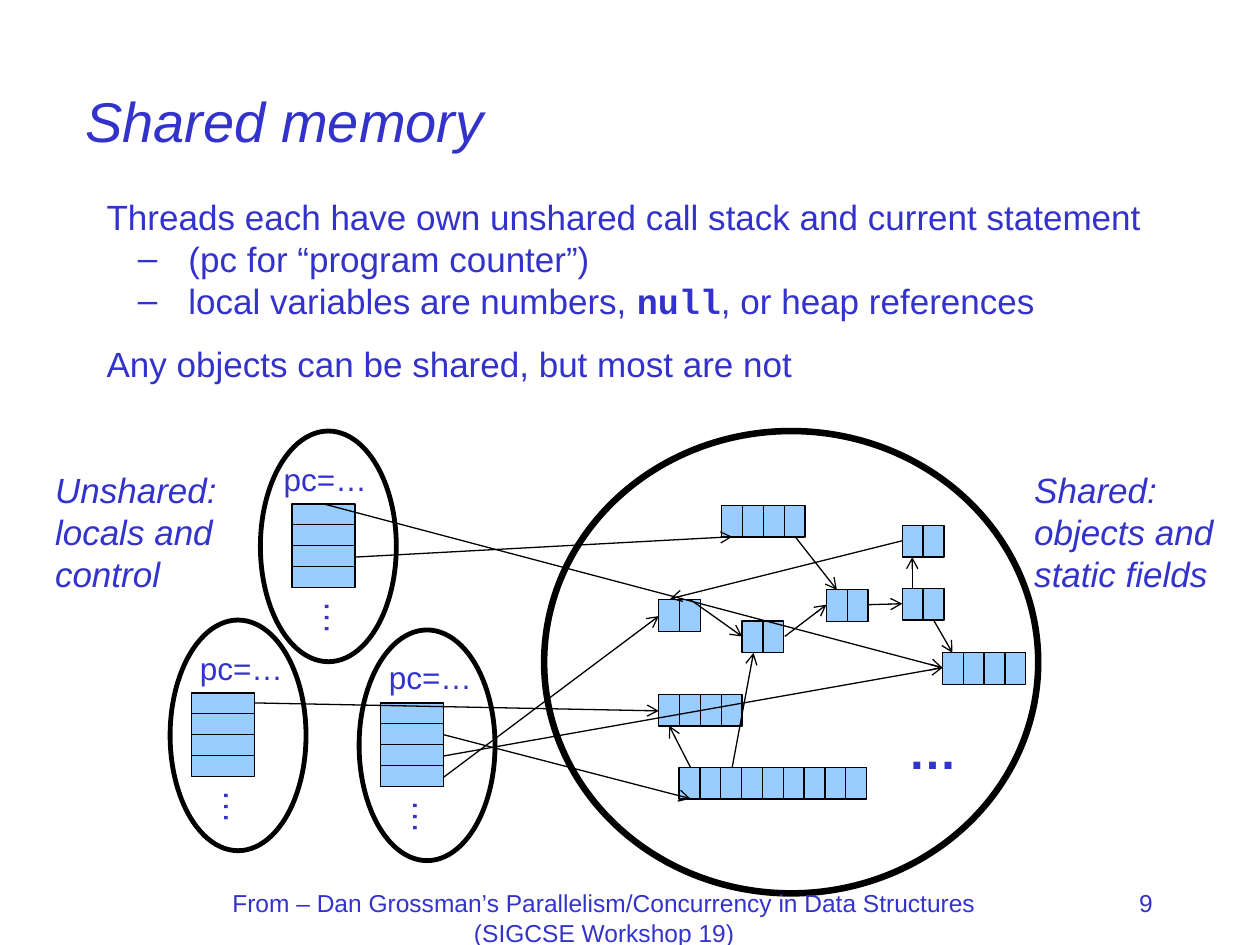
from lxml import etree
from pptx import Presentation
from pptx.dml.color import RGBColor
from pptx.enum import shapes, text
from pptx.oxml import ns
from pptx.util import Cm, Pt

BLUE = RGBColor(0x33, 0x33, 0xCC)
CELL = RGBColor(0x99, 0xCC, 0xFF)
BLACK = RGBColor(0, 0, 0)
STEP = 0.42

HEAP_OBJECTS = [
    (13.28, 12.09, 2), (13.28, 14.0, 4), (14.96, 12.52, 2),
    (16.66, 11.89, 2), (14.55, 10.19, 4), (19.0, 13.16, 4),
    (13.69, 15.47, 9), (18.19, 11.86, 2), (18.19, 10.59, 2),
]
THREADS = [
    (5.89, 10.16, 0.64, 0.42),
    (3.86, 13.97, 0.43, 0.08),
    (7.67, 14.17, 0.43, 0.08),
]
REFERENCES = [
    (16.03, 10.82, 16.87, 11.89), (13.92, 12.09, 14.96, 12.83),
    (15.82, 12.83, 16.66, 12.19), (13.92, 15.47, 13.49, 14.63),
    (14.76, 15.47, 15.19, 13.16), (6.53, 10.16, 19.0, 13.46),
    (7.16, 11.23, 14.76, 10.82), (5.13, 14.17, 13.28, 14.33),
    (8.94, 14.81, 13.92, 16.1), (8.94, 15.67, 13.28, 12.42),
    (8.94, 15.24, 19.0, 13.46), (17.5, 12.19, 18.19, 12.17),
    (18.39, 11.86, 18.39, 11.23), (18.19, 10.9, 13.51, 12.07),
    (18.82, 12.5, 19.2, 13.16),
]


def add_text(s, box, lines, size, bold=False, italic=False,
             align=text.PP_ALIGN.LEFT, anchor=text.MSO_ANCHOR.TOP):
    sp = s.shapes.add_textbox(*map(Cm, box))
    tf = sp.text_frame
    tf.word_wrap = True
    tf.vertical_anchor = anchor
    tf.text = "\n".join(lines)
    for p in tf.paragraphs:
        p.alignment = align
        p.line_spacing = Pt(size * 1.2)
        for r in p.runs:
            format_run(r, size, bold, italic)
    return sp


def format_run(r, size, bold=False, italic=False, name="Arial"):
    r.font.name = name
    r.font.size = Pt(size)
    r.font.bold = bold
    r.font.italic = italic
    r.font.color.rgb = BLUE


def add_dash(p):
    pPr = p._p.get_or_add_pPr()
    pPr.set("marL", str(Cm(1.65)))
    pPr.set("indent", str(Cm(-1.02)))
    etree.SubElement(pPr, ns.qn("a:buFont"), typeface="Arial")
    etree.SubElement(pPr, ns.qn("a:buChar"), char="–")


def add_outline(s, kind, box, width, fill=None):
    sp = s.shapes.add_shape(kind, *map(Cm, box))
    sp.shadow.inherit = False
    sp.line.color.rgb = BLACK
    sp.line.width = Pt(width)
    if fill is None:
        sp.fill.background()
    else:
        sp.fill.solid()
        sp.fill.fore_color.rgb = fill


def add_ellipse(s, box, width):
    add_outline(s, shapes.MSO_SHAPE.OVAL, box, width)


def add_cell(s, box):
    add_outline(s, shapes.MSO_SHAPE.RECTANGLE, box, 0.75, CELL)


def add_heap_object(s, left, top, count):
    for i in range(count):
        add_cell(s, (left + i * STEP, top, STEP, 0.64))


def add_thread(s, left, top, ellipse_dx, label_dx):
    add_ellipse(s, (left - ellipse_dx, top - 1.47, 2.74, 4.65), 2.75)
    for i in range(4):
        add_cell(s, (left, top + i * STEP, 1.27, STEP))
    add_text(s, (left - label_dx, top - 1.02, 2.3, 1.02), ["pc=…"], 18)
    dots = add_text(s, (left + 0.32, top + 1.75, 1.22, 1.12), ["…"], 20)
    dots.rotation = 90


def add_arrow(s, x1, y1, x2, y2):
    line = s.shapes.add_connector(shapes.MSO_CONNECTOR.STRAIGHT,
                                  *map(Cm, (x1, y1, x2, y2)))
    line.line.color.rgb = BLACK
    line.line.width = Pt(0.75)
    etree.SubElement(line.line._get_or_add_ln(), ns.qn("a:tailEnd"), type="arrow")
    etree.SubElement(line._element.spPr, ns.qn("a:effectLst"))


def add_body(s):
    sp = add_text(s, (1.9, 3.81, 22.76, 4.11), [
        "Threads each have own unshared call stack and current statement",
        "(pc for “program counter”)",
        "local variables are numbers, ",
        "Any objects can be shared, but most are not",
    ], 20)
    paragraphs = sp.text_frame.paragraphs
    for p in paragraphs[1:3]:
        add_dash(p)
    for words, bold, name in [("null", True, "Courier New"),
                              (", or heap references", False, "Arial")]:
        r = paragraphs[2].add_run()
        r.text = words
        format_run(r, 20, bold, name=name)
    paragraphs[3].space_before = Pt(12)


def main():
    prs = Presentation()
    prs.slide_width, prs.slide_height = Cm(25.4), Cm(19.05)
    s = prs.slides.add_slide(prs.slide_layouts[6])

    add_text(s, (1.47, 0.84, 21.59, 3.18), ["Shared memory"], 32, italic=True,
             anchor=text.MSO_ANCHOR.MIDDLE)
    add_body(s)

    add_ellipse(s, (10.97, 8.69, 9.96, 9.32), 3.75)
    for heap_object in HEAP_OBJECTS:
        add_heap_object(s, *heap_object)
    add_text(s, (18.06, 14.4, 1.5, 1.45), ["…"], 28, bold=True)
    for thread in THREADS:
        add_thread(s, *thread)
    for reference in REFERENCES:
        add_arrow(s, *reference)

    add_text(s, (0.86, 9.32, 3.91, 2.82),
             ["Unshared:", "locals and", "control"], 20, italic=True)
    add_text(s, (20.6, 9.32, 4.3, 2.82),
             ["Shared:", "objects and", "static fields"], 20, italic=True)

    add_text(s, (4.24, 17.78, 15.88, 1.27),
             ["From – Dan Grossman’s Parallelism/Concurrency in Data Structures "
              "(SIGCSE Workshop 19)"], 14, align=text.PP_ALIGN.CENTER)
    add_text(s, (18.21, 17.78, 5.28, 1.27), ["9"], 14, align=text.PP_ALIGN.RIGHT)
    prs.save("out.pptx")


main()
